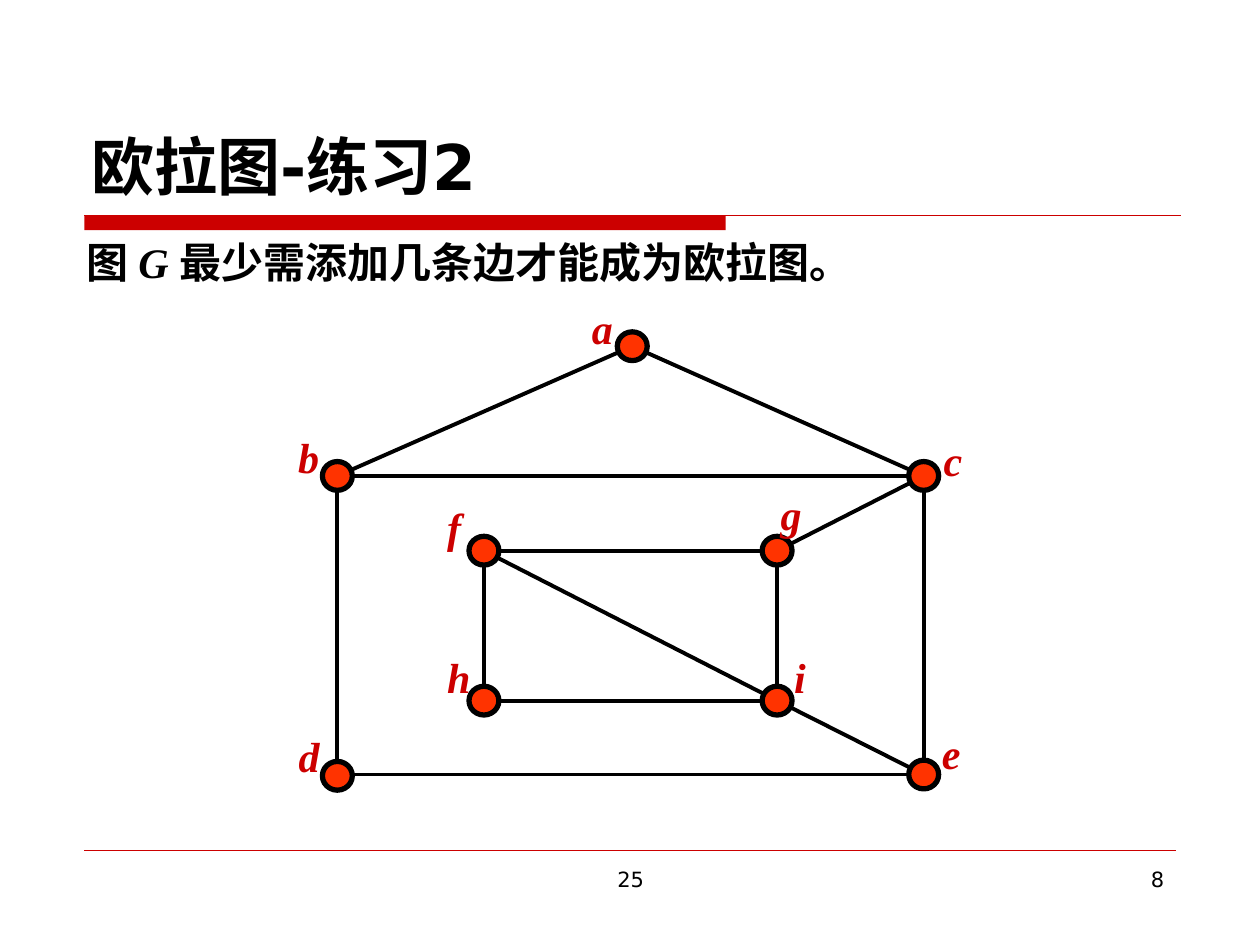
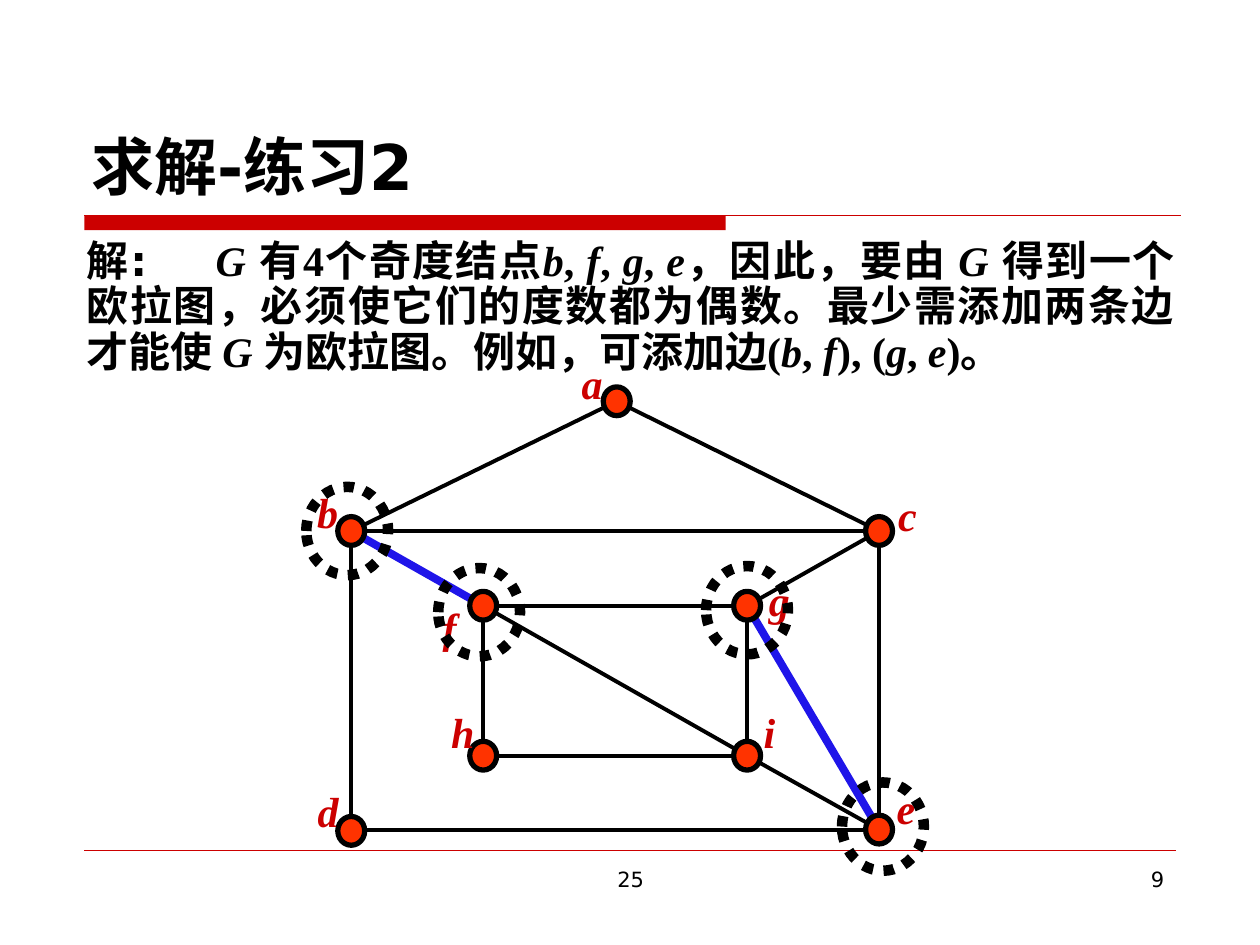
from dataclasses import dataclass

from lxml.etree import SubElement
from pptx import Presentation
from pptx.dml.color import RGBColor
from pptx.enum.dml import MSO_LINE
from pptx.enum.lang import MSO_LANGUAGE_ID
from pptx.enum.shapes import MSO_CONNECTOR, MSO_SHAPE
from pptx.enum.text import MSO_ANCHOR, MSO_AUTO_SIZE, PP_ALIGN
from pptx.oxml.ns import qn
from pptx.util import Cm, Pt

BLACK, RED, NODE_FILL, BLUE = "000000", "CC0000", "FF3300", "1F15E9"
SANS, SERIF = "DejaVu Sans", "Times New Roman"
UPRIGHT_SANS, UPRIGHT, ITALIC = (SANS, False), (SERIF, False), (SERIF, True)


@dataclass
class Box:
    """A region of the slide in centimetres."""
    left: float
    top: float
    width: float
    height: float

    def point(self, across, down):
        """Return the place at the given fractions of the box."""
        return self.left + across * self.width, self.top + down * self.height

    def lengths(self):
        """Return left, top, width and height as lengths."""
        return Cm(self.left), Cm(self.top), Cm(self.width), Cm(self.height)


TITLE_BOX = Box(1.6, 0.84, 22.23, 3.38)
BAND_BOX = Box(1.7, 4.34, 22.1, 0.3)
FOOTER_BOX = Box(1.7, 17.15, 22, 1.52)

VERTICES = {
    "a": (0.503, 0), "b": (0, 0.302), "c": (1, 0.302),
    "d": (0, 1), "e": (1, 0.997),
    "f": (0.25, 0.476), "g": (0.75, 0.476),
    "h": (0.25, 0.825), "i": (0.75, 0.825),
}
RECTANGLES = ["be", "fi"]
EDGES = ["ba", "ca", "fi", "gc", "ei"]
LABEL_OFFSETS = {
    "a": (-0.09, -0.117), "b": (-0.088, -0.119), "c": (0.013, -0.112),
    "d": (-0.087, -0.119), "e": (0.01, -0.123), "f": (-0.084, -0.128),
    "g": (-0.015, -0.16), "h": (-0.084, -0.13), "i": (0.008, -0.13),
}
LABEL_WIDTHS = {"c": 0.89, "e": 0.89, "f": 0.79, "h": 0.97, "i": 0.74}


def color(value):
    """Turn a hex string into a colour."""
    return RGBColor.from_string(value)


def add_line(slide, start, end, line_color, width):
    """Draw a straight line without a shadow."""
    line = slide.shapes.add_connector(
        MSO_CONNECTOR.STRAIGHT, *[Cm(value) for value in (*start, *end)])
    line.line.color.rgb = color(line_color)
    line.line.width = Pt(width)
    SubElement(line._element.spPr, qn("a:effectLst"))


def add_outline(slide, kind, box, width, fill=None):
    """Draw a black-edged shape, hollow unless a fill is given."""
    shape = slide.shapes.add_shape(kind, *box.lengths())
    shape.shadow.inherit = False
    if fill:
        shape.fill.solid()
        shape.fill.fore_color.rgb = color(fill)
    else:
        shape.fill.background()
    shape.line.color.rgb = color(BLACK)
    shape.line.width = Pt(width)
    return shape


def add_text(slide, box, runs, size, text_color=BLACK, bold=True,
             align=PP_ALIGN.LEFT, wrap=True):
    """Add a text box of one paragraph made of (text, style) runs."""
    shape = slide.shapes.add_textbox(*box.lengths())
    shape.text_frame.word_wrap = wrap
    paragraph = shape.text_frame.paragraphs[0]
    paragraph.alignment = align
    for text, (font_name, italic) in runs:
        run = paragraph.add_run()
        run.text = text
        font = run.font
        font.name, font.size = font_name, Pt(size)
        font.bold, font.italic = bold, italic
        font.color.rgb = color(text_color)
        font.language_id = MSO_LANGUAGE_ID.SIMPLIFIED_CHINESE
    return shape.text_frame


def add_title(slide, title):
    """Place the title and the red band under it."""
    frame = add_text(slide, TITLE_BOX, [(title, UPRIGHT_SANS)], 36)
    frame.vertical_anchor = MSO_ANCHOR.BOTTOM
    band = BAND_BOX
    bar_box = Box(band.left, band.top, 12.93, band.height)
    bar = slide.shapes.add_shape(MSO_SHAPE.RECTANGLE, *bar_box.lengths())
    bar.shadow.inherit = False
    bar.fill.solid()
    bar.fill.fore_color.rgb = color(RED)
    bar.line.fill.background()
    add_line(slide, band.point(0, 0), band.point(1, 0), RED, 0.75)


def add_footer(slide, number):
    """Place the footer rule, the footer text and the slide number."""
    box = FOOTER_BOX
    add_line(slide, box.point(0, 0), box.point(1, 0), RED, 0.25)
    parts = [("25", 6.99, 8.05, PP_ALIGN.CENTER),
             (str(number), 16.51, 5.51, PP_ALIGN.RIGHT)]
    for text, indent, width, align in parts:
        text_box = Box(box.left + indent, box.top + 0.2, width, 1.32)
        add_text(slide, text_box, [(text, UPRIGHT_SANS)], 12,
                 bold=False, align=align)


def add_body(slide, box, runs, line_spacing):
    """Place the justified problem or solution text."""
    frame = add_text(slide, box, runs, 24, align=PP_ALIGN.JUSTIFY)
    frame.auto_size = MSO_AUTO_SIZE.SHAPE_TO_FIT_TEXT
    paragraph = frame.paragraphs[0]
    paragraph.line_spacing = line_spacing
    tabs = SubElement(paragraph._p.get_or_add_pPr(), qn("a:tabLst"))
    for inch in range(8):
        SubElement(tabs, qn("a:tab"), pos=str(Cm(2.54 * inch)), algn="l")


def add_graph(slide, box, added_edges=(), moved_labels=None, ring_offsets=None):
    """Draw graph G in the box, with added edges and rings round odd vertices."""
    places = {name: box.point(*at) for name, at in VERTICES.items()}
    for start, end in added_edges:
        add_line(slide, places[start], places[end], BLUE, 4.5)
    for first, last in RECTANGLES:
        (left, top), (right, bottom) = places[first], places[last]
        add_outline(slide, MSO_SHAPE.RECTANGLE,
                    Box(left, top, right - left, bottom - top), 2.25)
    for start, end in EDGES:
        add_line(slide, places[start], places[end], BLACK, 2.25)

    node_width, node_height = 0.051 * box.width, 0.58
    for x, y in places.values():
        node_box = Box(x - node_width / 2, y - node_height / 2,
                       node_width, node_height)
        add_outline(slide, MSO_SHAPE.FLOWCHART_CONNECTOR, node_box, 3, NODE_FILL)

    offsets = LABEL_OFFSETS | (moved_labels or {})
    for name, (across, down) in VERTICES.items():
        shift_across, shift_down = offsets[name]
        left, top = box.point(across + shift_across, down + shift_down)
        label_box = Box(left, top, LABEL_WIDTHS.get(name, 0.91), 1.27)
        frame = add_text(slide, label_box, [(name, ITALIC)], 24, RED, wrap=False)
        frame.auto_size = MSO_AUTO_SIZE.SHAPE_TO_FIT_TEXT

    ring_width, ring_height = 1.65, 1.78
    for name, (shift_x, shift_y) in (ring_offsets or {}).items():
        x, y = places[name]
        ring_box = Box(x + shift_x - ring_width / 2, y + shift_y - ring_height / 2,
                       ring_width, ring_height)
        ring = add_outline(slide, MSO_SHAPE.OVAL, ring_box, 6)
        ring.line.dash_style = MSO_LINE.ROUND_DOT


def start_slide(presentation, title, number):
    """Add a blank slide with the shared title and footer."""
    slide = presentation.slides.add_slide(presentation.slide_layouts[6])
    add_title(slide, title)
    add_footer(slide, number)
    return slide


def add_exercise(presentation):
    """Build the slide that asks the question."""
    slide = start_slide(presentation, "欧拉图-练习2", 8)
    runs = [("图 ", UPRIGHT_SANS), ("G ", ITALIC),
            ("最少需添加几条边才能成为欧拉图。", UPRIGHT_SANS)]
    add_body(slide, Box(1.5, 4.8, 22.6, 1.12), runs, 0.85)
    add_graph(slide, Box(6.8, 6.98, 11.82, 8.66))


def add_solution(presentation):
    """Build the slide that answers the question."""
    slide = start_slide(presentation, "求解-练习2", 9)
    comma = (", ", UPRIGHT)
    b, f, g, e = [(name, ITALIC) for name in "bfge"]
    graph_name = ("G ", ITALIC)
    runs = [
        ("解", UPRIGHT), (": \t", UPRIGHT_SANS), graph_name,
        ("有4个", UPRIGHT), ("奇度结点", UPRIGHT_SANS),
        b, comma, f, comma, g, comma, e,
        ("，因此，要由 ", UPRIGHT), graph_name,
        ("得到一个欧拉图，必须使它们的度数都为偶数。最少需添加两条边才能使 ", UPRIGHT),
        graph_name, ("为欧拉图。例如，可添加边(", UPRIGHT),
        b, comma, f, ("), (", UPRIGHT), g, comma, e, (")。", UPRIGHT),
    ]
    add_body(slide, Box(1.5, 4.72, 22.43, 3), runs, 0.9)
    add_graph(slide, Box(7.08, 8.09, 10.64, 8.66), added_edges=["bf", "ge"],
              moved_labels={"f": (-0.1, -0.025), "g": (0.018, -0.087)},
              ring_offsets={"b": (-0.08, 0), "f": (-0.08, 0.13),
                            "g": (0, 0.09), "e": (0.08, -0.06)})


def main():
    """Build and save the presentation."""
    presentation = Presentation()
    presentation.slide_width, presentation.slide_height = Cm(25.4), Cm(19.05)
    add_exercise(presentation)
    add_solution(presentation)
    presentation.save("out.pptx")


if __name__ == "__main__":
    main()
